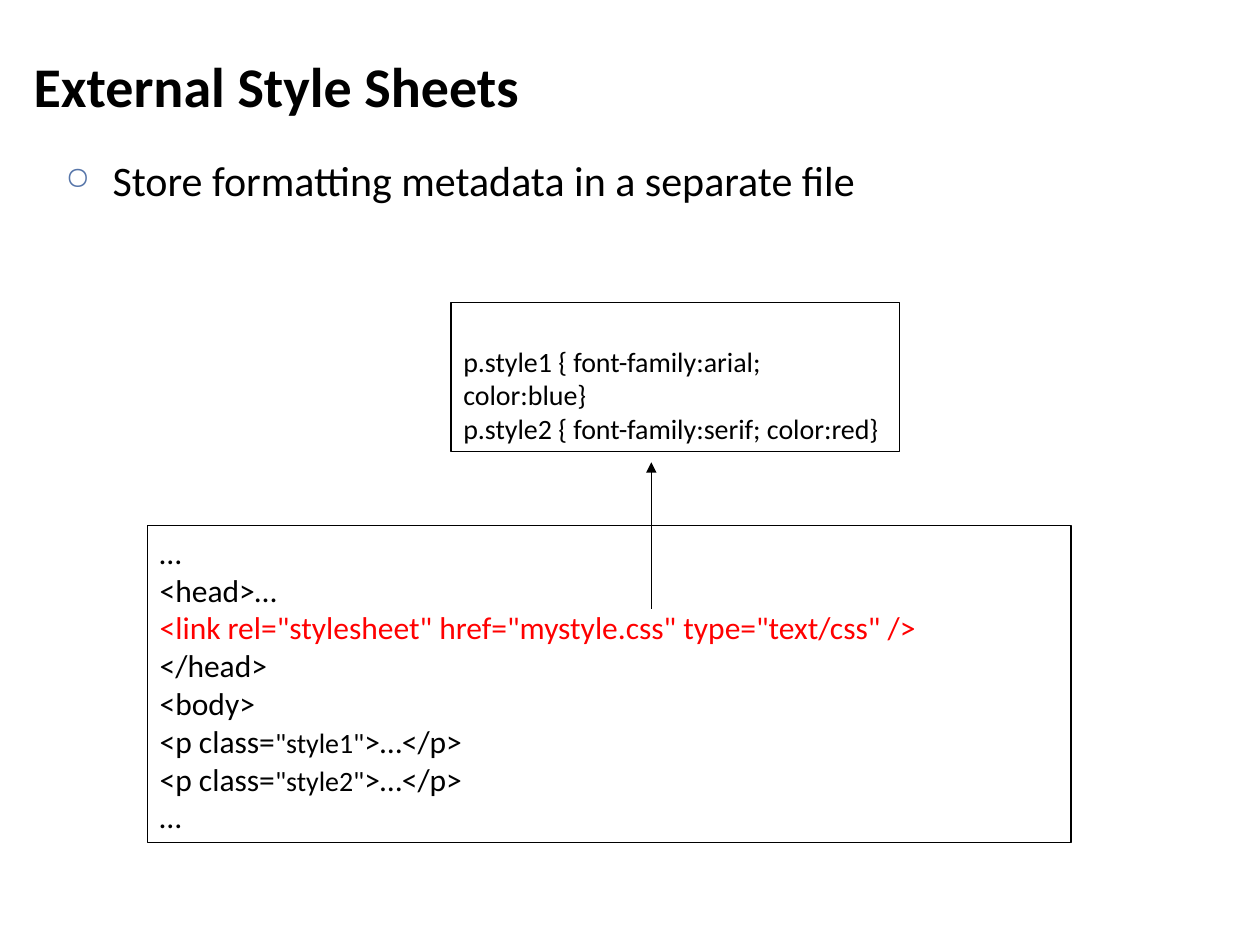
from typing import NamedTuple

from lxml import etree
from pptx import Presentation
from pptx.dml.color import RGBColor
from pptx.enum.shapes import MSO_CONNECTOR, MSO_SHAPE
from pptx.enum.text import MSO_ANCHOR, PP_ALIGN
from pptx.oxml.ns import qn
from pptx.util import Cm, Pt

RECT = MSO_SHAPE.RECTANGLE
STRAIGHT = MSO_CONNECTOR.STRAIGHT
TOP, MIDDLE, BOTTOM = MSO_ANCHOR.TOP, MSO_ANCHOR.MIDDLE, MSO_ANCHOR.BOTTOM
LEFT = PP_ALIGN.LEFT

FONT = "Calibri"
BLACK, RED, BLUE = "000000", "FF0000", "5675A9"
THIN = Pt(0.75)


class Box(NamedTuple):
    left: float
    top: float
    width: float
    height: float


class Run(NamedTuple):
    text: str
    size: float | None = None
    color: str = BLACK


class Code(NamedTuple):
    box: Box
    lines: list[list[Run]]
    size: float
    anchor: MSO_ANCHOR


CODES = [
    Code(Box(2.97, 10.59, 18.62, 6.4), [
        [Run("…")],
        [Run("<head>…")],
        [Run('<link rel="stylesheet" href="mystyle.css" type="text/css" />',
             color=RED)],
        [Run("</head>")],
        [Run("<body>")],
        *[[Run("<p class="), Run(f'"{name}"', 16), Run(">…</p>")]
          for name in ("style1", "style2")],
        [Run("…")],
    ], 18, MIDDLE),
    Code(Box(9.09, 6.1, 9.04, 3.0), [
        [Run("p.style1 { font-family:arial; color:blue}")],
        [Run("p.style2 { font-family:serif; color:red}")],
    ], 16, BOTTOM),
]


def paint(target, color: str) -> None:
    """Give a fill or font colour from a hex string."""
    if hasattr(target, "solid"):
        target.solid()
        target.fore_color.rgb = RGBColor.from_string(color)
    else:
        target.color.rgb = RGBColor.from_string(color)


def write(shape, lines: list[list[Run]], *, size: float, bold: bool = False,
          anchor: MSO_ANCHOR = TOP, bullet: str = "") -> None:
    frame = shape.text_frame
    frame.word_wrap = True
    frame.vertical_anchor = anchor
    for i, line in enumerate(lines):
        para = frame.add_paragraph() if i else frame.paragraphs[0]
        para.alignment = LEFT
        if bullet:
            mark(para, bullet)
        for part in line:
            run = para.add_run()
            run.text = part.text
            run.font.name = FONT
            run.font.size = Pt(part.size or size)
            run.font.bold = bold
            paint(run.font, part.color)


def mark(para, char: str) -> None:
    """Hang a blue bullet in front of a paragraph."""
    props = para._p.get_or_add_pPr()
    props.set("marL", str(Cm(0.95)))
    props.set("indent", str(Cm(-0.95)))
    tint = etree.SubElement(props, qn("a:buClr"))
    etree.SubElement(tint, qn("a:srgbClr"), val=BLUE)
    etree.SubElement(props, qn("a:buSzPct"), val="75000")
    etree.SubElement(props, qn("a:buChar"), char=char)


def add_text(slide, box: Box, text: str, **style) -> None:
    shape = slide.shapes.add_textbox(*map(Cm, box))
    write(shape, [[Run(text)]], **style)


def add_code(slide, code: Code) -> None:
    shape = slide.shapes.add_shape(RECT, *map(Cm, code.box))
    shape.shadow.inherit = False
    shape.fill.background()
    paint(shape.line.fill, BLACK)
    shape.line.width = THIN
    write(shape, code.lines, size=code.size, anchor=code.anchor)


def add_arrow(slide, x: float, start: float, end: float) -> None:
    """Draw an upright arrow with its head at the end."""
    arrow = slide.shapes.add_connector(
        STRAIGHT, Cm(x), Cm(start), Cm(x), Cm(end))
    paint(arrow.line.fill, BLACK)
    arrow.line.width = THIN
    props = arrow._element.spPr
    etree.SubElement(props.find(qn("a:ln")), qn("a:tailEnd"), type="triangle")
    etree.SubElement(props, qn("a:effectLst"))


def main() -> None:
    deck = Presentation()
    deck.slide_width, deck.slide_height = Cm(25.4), Cm(19.05)
    slide = deck.slides.add_slide(deck.slide_layouts[6])
    add_text(slide, Box(0.43, 0.3, 24.13, 2.84), "External Style Sheets",
             size=32, bold=True, anchor=MIDDLE)
    add_text(slide, Box(1.07, 3.0, 23.5, 14.17),
             "Store formatting metadata in a separate file",
             size=24, bullet="○")
    for code in CODES:
        add_code(slide, code)
    add_arrow(slide, 13.13, 12.27, 9.32)
    deck.save("out.pptx")


if __name__ == "__main__":
    main()
